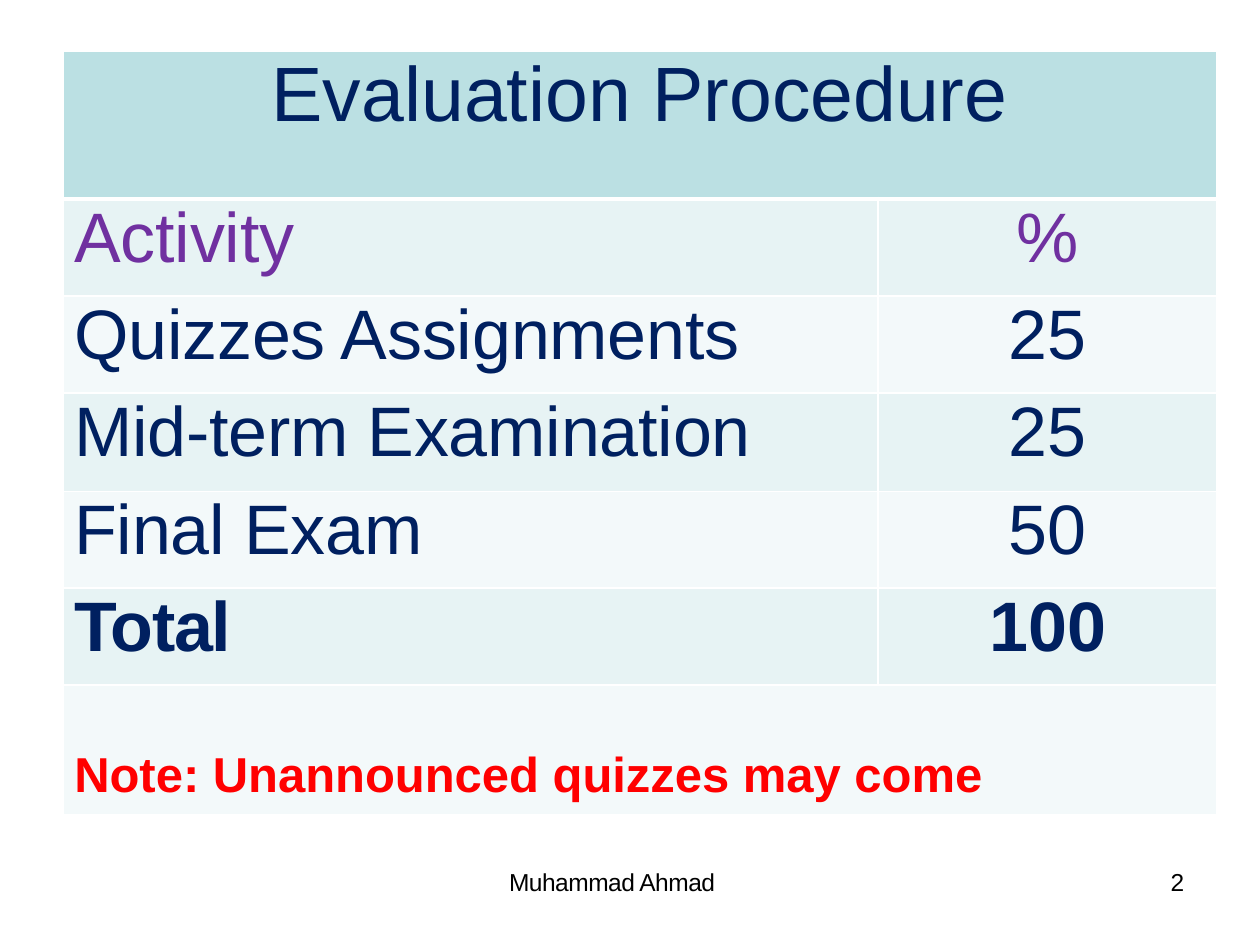
from lxml import etree
from pptx import Presentation
from pptx.dml.color import RGBColor
from pptx.enum.text import PP_ALIGN
from pptx.oxml.ns import qn
from pptx.util import Inches, Pt

NAVY = RGBColor(0x00, 0x20, 0x60)
PURPLE = RGBColor(0x70, 0x30, 0xA0)
RED = RGBColor(0xFF, 0x00, 0x00)
BLACK = RGBColor(0x00, 0x00, 0x00)
WHITE = RGBColor(0xFF, 0xFF, 0xFF)
TITLE_FILL = RGBColor(0xBB, 0xE0, 0xE3)
BANDS = [RGBColor(0xE7, 0xF3, 0xF4), RGBColor(0xF3, 0xF9, 0xFA)]

# Content
HEADING = "Evaluation Procedure"
ACTIVITIES = [
    ("Activity", "%"),
    ("Quizzes Assignments", "25"),
    ("Mid-term Examination", "25"),
    ("Final Exam", "50"),
    ("Total", "100"),
]
NOTE = "Note: Unannounced quizzes may come"
# text, left, top, width, height, letter spacing
FOOTERS = [
    ("Muhammad Ahmad", 4.04, 6.9, 1.95, 0.21, -0.3),
    ("2", 9.29, 6.9, 0.2, 0.21, 0),
]

# Grid in inches
TABLE_LEFT, TABLE_TOP = 0.5, 0.41
COLUMNS = [6.47, 2.69]
ROWS = [1.17, 0.77, 0.77, 0.78, 0.77, 0.77, 1.03]
INDENT = 0.09


def write(paragraph, text, size, color, bold=False, spacing=0):
    run = paragraph.add_run()
    run.text = text
    font = paragraph.font
    font.name, font.size, font.bold = "Arial", Pt(size), bold
    font.color.rgb = color
    if spacing:
        run._r.get_or_add_rPr().set("spc", str(round(spacing * 100)))


def add_borders(cell, top, bottom):
    properties = cell._tc.get_or_add_tcPr()
    edges = [("a:lnL", 1), ("a:lnR", 1), ("a:lnT", top), ("a:lnB", bottom)]
    for position, (edge, width) in enumerate(edges):
        line = etree.Element(qn(edge), w=str(Pt(width)))
        fill = etree.SubElement(line, qn("a:solidFill"))
        etree.SubElement(fill, qn("a:srgbClr"), val=str(WHITE))
        properties.insert(position, line)


def fill_cell(cell, text, size, color, align=PP_ALIGN.LEFT, before=2, top=0, **style):
    cell.margin_left = Inches(INDENT if align == PP_ALIGN.LEFT else 0)
    cell.margin_right = cell.margin_bottom = 0
    cell.margin_top = Inches(top)
    paragraph = cell.text_frame.paragraphs[0]
    paragraph.alignment = align
    paragraph.space_before = Pt(before)
    write(paragraph, text, size, color, **style)


prs = Presentation()
prs.slide_width, prs.slide_height = Inches(10), Inches(7.5)
slide = prs.slides.add_slide(prs.slide_layouts[6])

# Table grid, bands and borders
table = slide.shapes.add_table(
    len(ROWS), len(COLUMNS), Inches(TABLE_LEFT), Inches(TABLE_TOP),
    Inches(sum(COLUMNS)), Inches(sum(ROWS))).table
for column, width in zip(table.columns, COLUMNS):
    column.width = Inches(width)
for index, (row, height) in enumerate(zip(table.rows, ROWS)):
    row.height = Inches(height)
    for cell in row.cells:
        cell.fill.solid()
        cell.fill.fore_color.rgb = BANDS[(index - 1) % 2] if index else TITLE_FILL
        add_borders(cell, top=3 if index == 1 else 1, bottom=1 if index else 3)

# Heading and note span both columns
last = len(ROWS) - 1
for index in (0, last):
    table.cell(index, 0).merge(table.cell(index, 1))
fill_cell(table.cell(0, 0), HEADING, 44, NAVY, PP_ALIGN.CENTER)
fill_cell(table.cell(last, 0), NOTE, 28, RED, before=0, top=0.5, bold=True)

# Activities and their weights
for index, (activity, weight) in enumerate(ACTIVITIES, start=1):
    header, total = index == 1, index == len(ACTIVITIES)
    color, before = (PURPLE, 1) if header else (NAVY, 2)
    fill_cell(table.cell(index, 0), activity, 40, color, before=before,
              bold=total, spacing=-0.7 if total else -0.1)
    fill_cell(table.cell(index, 1), weight, 40, color, PP_ALIGN.CENTER,
              before=before, bold=total)

# Footer and page number
for text, left, top, width, height, spacing in FOOTERS:
    frame = slide.shapes.add_textbox(
        Inches(left), Inches(top), Inches(width), Inches(height)).text_frame
    frame.word_wrap = True
    frame.margin_left = frame.margin_right = 0
    frame.margin_top = frame.margin_bottom = 0
    footer = frame.paragraphs[0]
    footer.line_spacing = Pt(15.2)
    write(footer, text, 14, BLACK, spacing=spacing)

prs.save("out.pptx")
